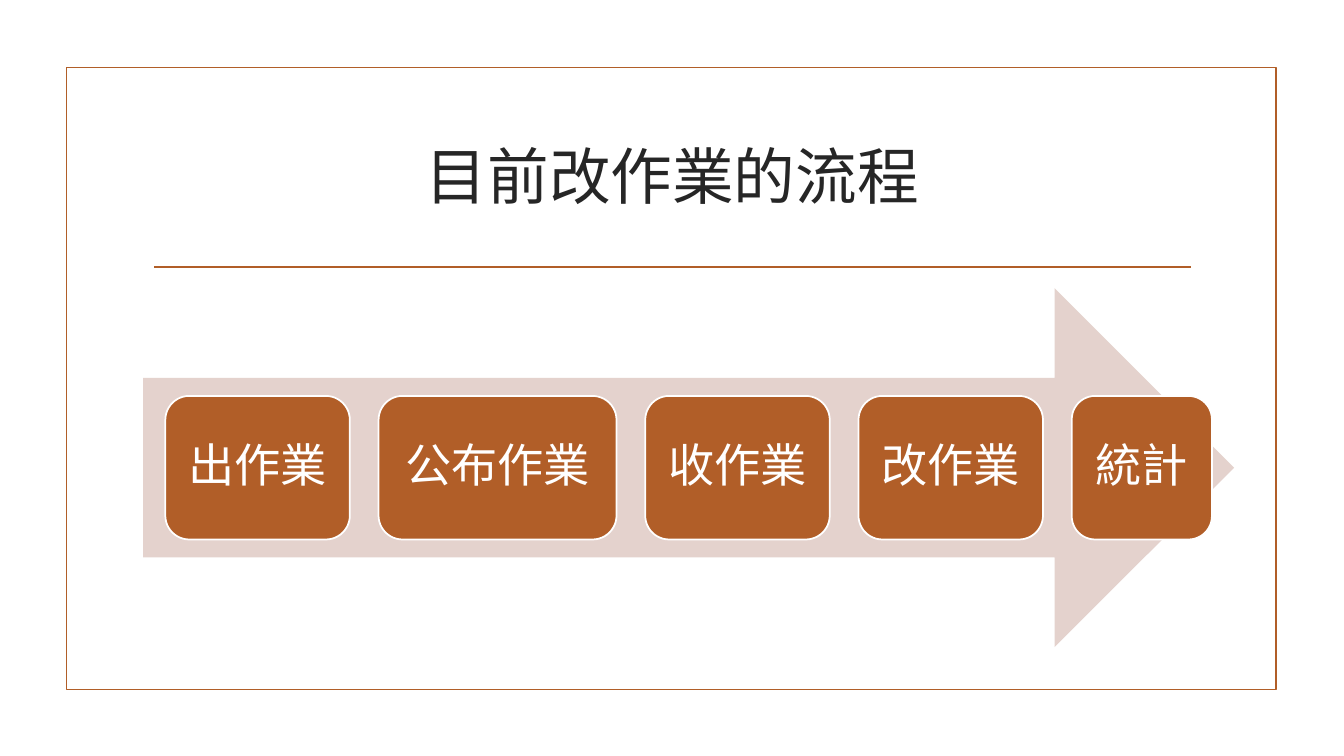
from lxml import etree
from pptx import Presentation
from pptx.dml.color import RGBColor
from pptx.enum.shapes import MSO_CONNECTOR, MSO_SHAPE
from pptx.enum.text import MSO_ANCHOR, PP_ALIGN
from pptx.oxml.ns import qn
from pptx.util import Inches, Pt

TITLE = "目前改作業的流程"
STEPS = [
    ("出作業", 1.83),
    ("公布作業", 2.36),
    ("收作業", 1.83),
    ("改作業", 1.83),
    ("統計", 1.39),
]

RUST = RGBColor(0xB1, 0x5E, 0x28)
BLUSH = RGBColor(0xE4, 0xD2, 0xCD)
INK = RGBColor(0x26, 0x26, 0x26)
WHITE = RGBColor(0xFF, 0xFF, 0xFF)

SLIDE_SIZE = (13.33, 7.5)
FRAME = (0.66, 0.67, 12, 6.17)
RULE = (1.53, 2.65, 11.81, 2.65)
TITLE_BOX = (1.42, 1.07, 10.5, 1.43)
ARROW = (1.42, 2.86, 10.82, 3.56)
ARROW_MARGIN = 0.22
STEP_SHARE = 0.4
STEP_INSET = 0.14
LINE_WIDTH = Pt(1.25)

TITLE_FONT = {"name": "Arial", "size": Pt(44), "bold": False}
STEP_FONT = {"name": "Times New Roman", "size": Pt(33)}


def add_block(slide, preset, box, fill=None, outline=None):
    block = slide.shapes.add_shape(preset, *map(Inches, box))
    block.shadow.inherit = False
    if fill is None:
        block.fill.background()
    else:
        block.fill.solid()
        block.fill.fore_color.rgb = fill
    if outline is None:
        block.line.fill.background()
    else:
        block.line.color.rgb = outline
        block.line.width = LINE_WIDTH
    return block


def write(shape, text, font, color):
    frame = shape.text_frame
    frame.text = text
    frame.word_wrap = True
    frame.vertical_anchor = MSO_ANCHOR.MIDDLE
    paragraph = frame.paragraphs[0]
    paragraph.alignment = PP_ALIGN.CENTER
    paragraph.line_spacing = 0.9
    run = paragraph.runs[0]
    for key, value in font.items():
        setattr(run.font, key, value)
    run.font.color.rgb = color


def add_rule(slide):
    rule = slide.shapes.add_connector(MSO_CONNECTOR.STRAIGHT, *map(Inches, RULE))
    rule.line.color.rgb = RUST
    rule.line.width = LINE_WIDTH
    etree.SubElement(rule._element.spPr, qn("a:effectLst"))


def add_steps(slide):
    arrow_left, arrow_top, arrow_width, arrow_height = ARROW
    height = arrow_height * STEP_SHARE
    top = arrow_top + (arrow_height - height) / 2
    free = arrow_width - 2 * ARROW_MARGIN - sum(width for _, width in STEPS)
    gap = free / (len(STEPS) - 1)
    left = arrow_left + ARROW_MARGIN
    for label, width in STEPS:
        step = add_block(slide, MSO_SHAPE.ROUNDED_RECTANGLE,
                         (left, top, width, height), RUST, WHITE)
        for side in ("left", "top", "right", "bottom"):
            setattr(step.text_frame, f"margin_{side}", Inches(STEP_INSET))
        write(step, label, STEP_FONT, WHITE)
        left += width + gap


def main():
    deck = Presentation()
    deck.slide_width, deck.slide_height = map(Inches, SLIDE_SIZE)
    slide = deck.slides.add_slide(deck.slide_layouts[5])
    title = slide.shapes.title
    for side, length in zip(("left", "top", "width", "height"), TITLE_BOX):
        setattr(title, side, Inches(length))
    write(title, TITLE, TITLE_FONT, INK)
    add_block(slide, MSO_SHAPE.RECTANGLE, FRAME, outline=RUST)
    add_rule(slide)
    add_block(slide, MSO_SHAPE.RIGHT_ARROW, ARROW, fill=BLUSH)
    add_steps(slide)
    deck.save("out.pptx")


if __name__ == "__main__":
    main()
